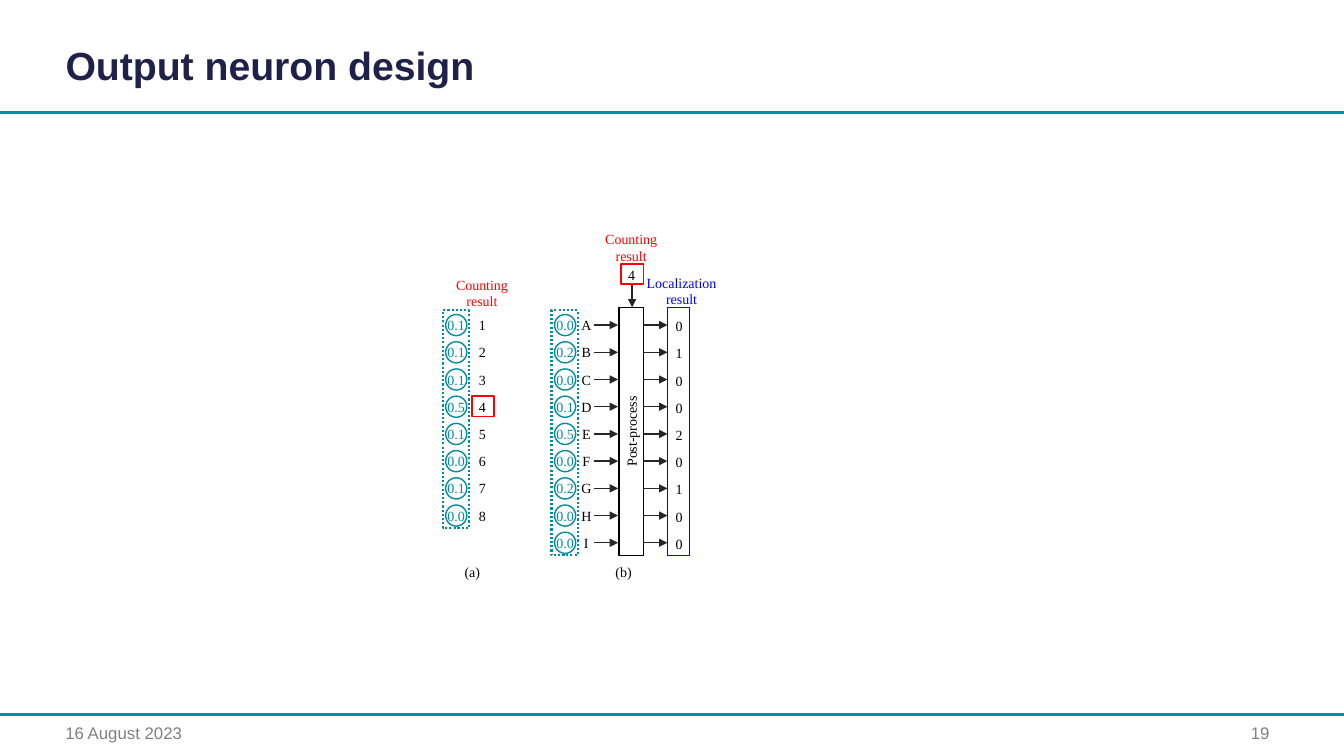
from lxml.etree import SubElement
from pptx import Presentation
from pptx.dml.color import RGBColor
from pptx.enum.dml import MSO_LINE
from pptx.enum.shapes import MSO_CONNECTOR, MSO_SHAPE
from pptx.enum.text import MSO_ANCHOR, PP_ALIGN
from pptx.oxml.ns import qn
from pptx.util import Inches, Pt

TITLE = "Output neuron design"
DATE, PAGE = "16 August 2023", "19"
COUNT = [("0.1", "1"), ("0.1", "2"), ("0.1", "3"), ("0.5", "4"),
         ("0.1", "5"), ("0.0", "6"), ("0.1", "7"), ("0.0", "8")]
PLACE = [("0.0", "A", "0"), ("0.2", "B", "1"), ("0.0", "C", "0"),
         ("0.1", "D", "0"), ("0.5", "E", "2"), ("0.0", "F", "0"),
         ("0.2", "G", "1"), ("0.0", "H", "0"), ("0.0", "I", "0")]
PICK = "4"

TEAL = RGBColor(0x00, 0x8C, 0x9F)
NAVY = RGBColor(0x1E, 0x22, 0x4A)
GRAY = RGBColor(0x80, 0x80, 0x80)
DARK = RGBColor(0x26, 0x26, 0x26)
BLACK = RGBColor(0, 0, 0)
WHITE = RGBColor(255, 255, 255)
RED = RGBColor(255, 0, 0)
BLUE = RGBColor(0, 0, 255)
SERIF, SANS = "Times New Roman", "Arial"

WIDE, HIGH = 13.33, 7.5
TOP, ROW, CELL = 3.12, 0.27, 0.21
FRAME, TALL = 3.05, 2.46
LEFT, RIGHT = 4.42, 5.5
POST, OUT = 6.14, 6.62
BAR = 0.24

CAPTIONS = [("(a)", 4.5, 5.54, 0.37, 0.27, BLACK),
            ("(b)", 6.0, 5.54, 0.37, 0.27, BLACK),
            ("Counting\nresult", 4.42, 2.69, 0.72, 0.44, RED),
            ("Counting\nresult", 5.9, 2.24, 0.72, 0.44, RED),
            ("Localization\nresult", 6.31, 2.67, 0.9, 0.44, BLUE)]

deck = Presentation()
deck.slide_width, deck.slide_height = Inches(WIDE), Inches(HIGH)
slide = deck.slides.add_slide(deck.slide_layouts[5])


def area(*box):
    return [Inches(v) for v in box]


def write(shape, text, color, size=10, font=SERIF, align=PP_ALIGN.CENTER):
    frame = shape.text_frame
    frame.text = text
    frame.word_wrap = False
    for para in frame.paragraphs:
        para.alignment = align
        para.font.size, para.font.name = Pt(size), font
        para.font.color.rgb = color


def center(shape, text, color):
    write(shape, text, color)
    frame = shape.text_frame
    frame.vertical_anchor = MSO_ANCHOR.MIDDLE
    frame.margin_left = frame.margin_right = 0
    frame.margin_top = frame.margin_bottom = 0


def outline(kind, box, color, width=1):
    shape = slide.shapes.add_shape(kind, *area(*box))
    shape.shadow.inherit = False
    shape.fill.background()
    shape.line.color.rgb, shape.line.width = color, Pt(width)
    return shape


def label(box, *style, **more):
    shape = slide.shapes.add_textbox(*area(*box))
    write(shape, *style, **more)


def mark(left, top, text):
    center(slide.shapes.add_textbox(*area(left, top, CELL, CELL)), text, BLACK)


def link(ends, color, width=1, arrow=True):
    line = slide.shapes.add_connector(MSO_CONNECTOR.STRAIGHT, *area(*ends))
    line.line.color.rgb, line.line.width = color, Pt(width)
    if arrow:
        SubElement(line.line._get_or_add_ln(), qn("a:tailEnd"), type="triangle")
    SubElement(line._element.spPr, qn("a:effectLst"))


def column(left, values):
    dots = outline(MSO_SHAPE.RECTANGLE, (left - 0.03, TOP - 0.04, 0.26,
                                         ROW * len(values)), TEAL, 1.5)
    dots.line.dash_style = MSO_LINE.ROUND_DOT
    for i, value in enumerate(values):
        ring = outline(MSO_SHAPE.OVAL, (left, TOP + i * ROW, CELL, CELL), TEAL)
        center(ring, value, TEAL)


for y in (1.12, 7.09):
    link((0, y, WIDE, y), TEAL, 2, False)

title = slide.shapes.title
title.left, title.top, title.width, title.height = area(0.55, 0.26, 9.99, 0.67)
write(title, TITLE, NAVY, 28, SANS, PP_ALIGN.LEFT)
title.text_frame.vertical_anchor = MSO_ANCHOR.BOTTOM
title.text_frame.paragraphs[0].font.bold = True
title.text_frame.paragraphs[0].line_spacing = 0.9

label((0.55, 7.12, 2.9, 0.4), DATE, GRAY, 12, SANS, PP_ALIGN.LEFT)
label((9.42, 7.12, 3.27, 0.4), PAGE, GRAY, 12, SANS, PP_ALIGN.RIGHT)

column(LEFT, [value for value, _ in COUNT])
column(RIGHT, [value for value, _, _ in PLACE])

for i, (_, name) in enumerate(COUNT):
    y = TOP + i * ROW
    mark(LEFT + 0.26, y, name)
    if name == PICK:
        outline(MSO_SHAPE.RECTANGLE, (LEFT + 0.26, y, 0.22, 0.2), RED)

post = outline(MSO_SHAPE.RECTANGLE, (POST + (BAR - TALL) / 2,
                                     FRAME + (TALL - BAR) / 2, TALL, BAR), BLACK)
post.rotation = 270
post.fill.solid()
post.fill.fore_color.rgb = WHITE
center(post, "Post-process", BLACK)
outline(MSO_SHAPE.RECTANGLE, (OUT, FRAME, 0.22, TALL), BLUE)

for i, (_, name, result) in enumerate(PLACE):
    y = TOP + i * ROW
    mid = y + CELL / 2
    mark(RIGHT + CELL, y, name)
    mark(OUT + 0.01, y + 0.01, result)
    link((5.89, mid, POST - 0.01, mid), DARK)
    link((POST + BAR, mid, OUT, mid), DARK)

mark(6.16, 2.62, PICK)
outline(MSO_SHAPE.RECTANGLE, (6.16, 2.62, 0.22, 0.2), RED)
link((6.27, 2.83, 6.27, FRAME), DARK)

for text, left, top, width, height, color in CAPTIONS:
    label((left, top, width, height), text, color)

deck.save("out.pptx")
